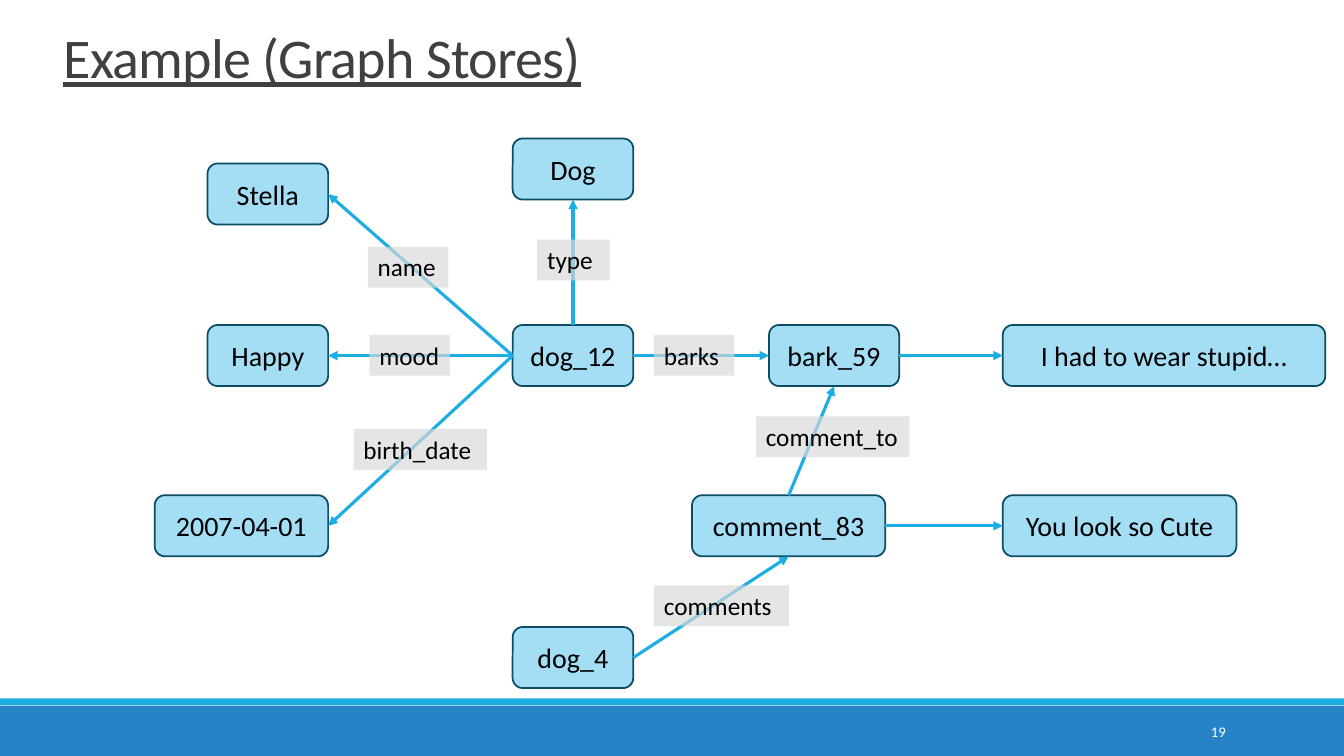
from dataclasses import dataclass

from lxml import etree
from pptx import Presentation
from pptx import util as u
from pptx.dml import color
from pptx.enum import shapes, text
from pptx.oxml import ns


@dataclass
class Theme:
    font: str = "Calibri"
    bar: str = "2683C6"
    edge: str = "1CADE4"
    node: str = "A4DEF4"
    rim: str = "0C4C64"
    tag: str = "D9D9D9"
    head: str = "404040"
    ink: str = "000000"
    pale: str = "FFFFFF"
    big: float = 40
    mid: float = 20
    small: float = 18
    tiny: float = 10.5


def block(kind, left, top, wide, high, fill):
    shape = slide.shapes.add_shape(kind, u.Cm(left), u.Cm(top), u.Cm(wide), u.Cm(high))
    shape.shadow.inherit = False
    shape.fill.solid()
    shape.fill.fore_color.rgb = color.RGBColor.from_string(fill)
    shape.line.fill.background()
    return shape


def write(shape, words, size, tint, align, anchor):
    frame = shape.text_frame
    frame.word_wrap = True
    frame.vertical_anchor = anchor
    para = frame.paragraphs[0]
    para.alignment = align
    run = para.add_run()
    run.text = words
    run.font.name = theme.font
    run.font.size = u.Pt(size)
    run.font.color.rgb = color.RGBColor.from_string(tint)
    return run


theme = Theme()
kinds = shapes.MSO_SHAPE
align = text.PP_ALIGN
anchor = text.MSO_ANCHOR

deck = Presentation()
deck.slide_width, deck.slide_height = u.Cm(33.87), u.Cm(19.05)
slide = deck.slides.add_slide(deck.slide_layouts[6])

block(kinds.RECTANGLE, 0, 17.78, 33.87, 1.27, theme.bar)
block(kinds.RECTANGLE, 0, 17.6, 33.87, 0.17, theme.edge)

page = slide.shapes.add_textbox(u.Cm(27.51), u.Cm(17.93), u.Cm(3.63), u.Cm(1.02))
write(page, "19", theme.tiny, theme.pale, align.RIGHT, anchor.MIDDLE)

title = slide.shapes.add_textbox(u.Cm(1.35), u.Cm(0.71), u.Cm(17.7), u.Cm(2.08))
run = write(title, "Example (Graph Stores)", theme.big, theme.head, align.LEFT, anchor.TOP)
run.font.underline = True
run.font._element.set("spc", "-50")
title.text_frame.paragraphs[0].line_spacing = 0.85

main, low = 8.19, 12.48
left, hub, right = 5.23, 12.92, 25.27
nodes = {}
for name, x, y, wide in [
    ("dog_12", hub, main, 3.04),
    ("Dog", hub, 3.49, 3.04),
    ("Happy", left, main, 3.04),
    ("Stella", left, 4.12, 3.04),
    ("bark_59", 19.38, main, 3.28),
    ("I had to wear stupid…", right, main, 8.13),
    ("2007-04-01", 3.9, low, 4.37),
    ("dog_4", hub, 15.8, 3.04),
    ("comment_83", 17.44, low, 4.87),
    ("You look so Cute", right, low, 5.89),
]:
    node = block(kinds.ROUNDED_RECTANGLE, x, y, wide, 1.54, theme.node)
    node.line.color.rgb = color.RGBColor.from_string(theme.rim)
    node.line.width = u.Pt(1.25)
    node.text_frame.margin_left = node.text_frame.margin_right = 0
    write(node, name, theme.mid, theme.ink, align.CENTER, anchor.MIDDLE)
    nodes[name] = node

for start, out, end, into in [
    ("dog_12", 1, "Happy", 3),
    ("dog_12", 1, "Stella", 3),
    ("dog_12", 1, "2007-04-01", 3),
    ("dog_12", 3, "bark_59", 1),
    ("dog_12", 0, "Dog", 2),
    ("dog_4", 3, "comment_83", 2),
    ("comment_83", 0, "bark_59", 2),
    ("comment_83", 3, "You look so Cute", 1),
    ("bark_59", 3, "I had to wear stupid…", 1),
]:
    edge = slide.shapes.add_connector(shapes.MSO_CONNECTOR.STRAIGHT, 0, 0, 0, 0)
    edge.begin_connect(nodes[start], out)
    edge.end_connect(nodes[end], into)
    edge.line.color.rgb = color.RGBColor.from_string(theme.edge)
    edge.line.width = u.Pt(2.25)
    etree.SubElement(edge.line._get_or_add_ln(), ns.qn("a:tailEnd"), type="triangle")
    etree.SubElement(edge._element.spPr, ns.qn("a:effectLst"))

for name, x, y, wide in [
    ("type", 13.54, 6.04, 1.83),
    ("name", 9.27, 6.22, 2.03),
    ("mood", 9.31, 8.44, 2.03),
    ("birth_date", 8.91, 10.81, 3.36),
    ("barks", 16.48, 8.44, 2.03),
    ("comment_to", 19.05, 10.49, 3.87),
    ("comments", 16.48, 14.75, 3.4),
]:
    tag = block(kinds.RECTANGLE, x, y, wide, 1.03, theme.tag)
    fill = tag._element.spPr.find(ns.qn("a:solidFill"))
    etree.SubElement(fill[0], ns.qn("a:alpha"), val="67000")
    tag.text_frame.margin_right = 0
    write(tag, name, theme.small, theme.ink, align.LEFT, anchor.TOP)

deck.save("out.pptx")
